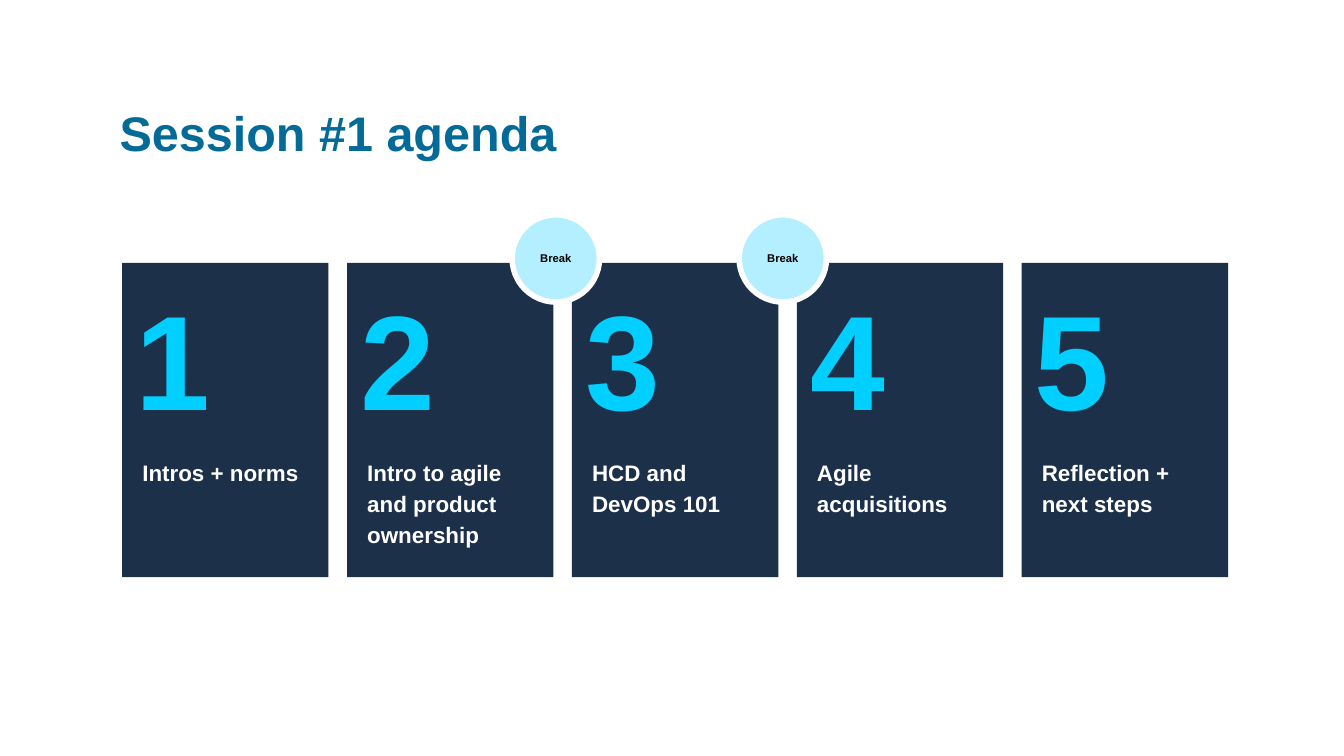
"""Build the session agenda slide with five numbered cards and two breaks."""
import copy
from dataclasses import dataclass

import pptx
import pptx.dml.color
import pptx.enum.shapes
import pptx.enum.text
import pptx.oxml.ns
import pptx.util
from lxml import etree

Cm = pptx.util.Cm
Pt = pptx.util.Pt
Kind = pptx.enum.shapes.MSO_SHAPE
Align = pptx.enum.text.PP_ALIGN
Anchor = pptx.enum.text.MSO_ANCHOR
Fit = pptx.enum.text.MSO_AUTO_SIZE


@dataclass(frozen=True)
class Theme:
    face: str = "Arial"
    navy: str = "1C304A"
    cyan: str = "00CFFF"
    pale: str = "B3EFFF"
    blue: str = "046B99"
    white: str = "FFFFFF"
    black: str = "000000"
    head: float = 26
    digit: float = 72
    label: float = 12
    small: float = 6


def tint(code):
    return pptx.dml.color.RGBColor.from_string(code)


def apply(target, values):
    for name, value in values.items():
        setattr(target, name, value)


class Deck:
    def __init__(self, theme):
        self.theme = theme
        self.show = pptx.Presentation()
        apply(self.show, {"slide_width": Cm(25.4), "slide_height": Cm(14.29)})
        self.slide = self.show.slides.add_slide(self.show.slide_layouts[1])
        self.body = self.slide.placeholders[1].element
        self.body.getparent().remove(self.body)

    def place(self, shape, box):
        apply(shape, dict(zip(("left", "top", "width", "height"), map(Cm, box))))

    def put(self, shape, text, size, color, anchor=Anchor.TOP, **style):
        frame = shape.text_frame
        frame.text = text
        sides = ("left", "top", "right", "bottom")
        apply(frame, {f"margin_{side}": Cm(0.25) for side in sides})
        apply(frame, {"word_wrap": True, "auto_size": Fit.NONE,
                      "vertical_anchor": anchor})
        para = frame.paragraphs[0]
        apply(para, {"alignment": Align.LEFT, "space_before": Pt(0), **style})
        font = para.runs[0].font
        apply(font, {"name": self.theme.face, "size": Pt(size), "bold": True})
        font.color.rgb = tint(color)
        return para

    def shape(self, kind, box, fill, line=None):
        item = self.slide.shapes.add_shape(kind, *map(Cm, box))
        item.shadow.inherit = False
        item.fill.solid()
        item.fill.fore_color.rgb = tint(fill)
        if line:
            item.line.color.rgb = tint(line)
            item.line.width = Pt(3)
        else:
            item.line.fill.background()
        return item

    def title(self, text, box):
        item = self.slide.shapes.title
        self.place(item, box)
        self.put(item, text, self.theme.head, self.theme.blue)

    def card(self, digit, box):
        item = self.shape(Kind.RECTANGLE, box, self.theme.navy)
        self.put(item, digit, self.theme.digit, self.theme.cyan)

    def label(self, text, box):
        node = copy.deepcopy(self.body)
        count = len(self.slide.shapes)
        node.nvSpPr.cNvPr.set("id", str(count + 20))
        node.nvSpPr.cNvPr.set("name", f"Label {count}")
        self.slide.shapes.element.append(node)
        item = self.slide.shapes[count]
        self.place(item, box)
        para = self.put(item, text, self.theme.label, self.theme.white,
                        line_spacing=1.15, space_after=Pt(12))
        props = para._p.get_or_add_pPr()
        for key in ("marL", "indent"):
            props.set(key, "0")
        etree.SubElement(props, pptx.oxml.ns.qn("a:buNone"))

    def pause(self, text, box):
        item = self.shape(Kind.OVAL, box, self.theme.pale, self.theme.white)
        self.put(item, text, self.theme.small, self.theme.black,
                 Anchor.MIDDLE, alignment=Align.CENTER)


def main():
    deck = Deck(Theme())
    topics = ("Intros + norms", "Intro to agile and product ownership",
              "HCD and DevOps 101", "Agile acquisitions",
              "Reflection + next steps")
    step = 4.25
    deck.title("Session #1 agenda", (2.01, 1.7, 20.52, 2.34))
    for col, topic in enumerate(topics):
        deck.card(str(col + 1), (2.31 + col * step, 4.97, 3.9, 5.94))
        deck.label(topic, (2.44 + col * step, 8.36, 3.56, 2.29))
    for left in (9.68, 13.97):
        deck.pause("Break", (left, 4.06, 1.65, 1.65))
    deck.show.save("out.pptx")


if __name__ == "__main__":
    main()
